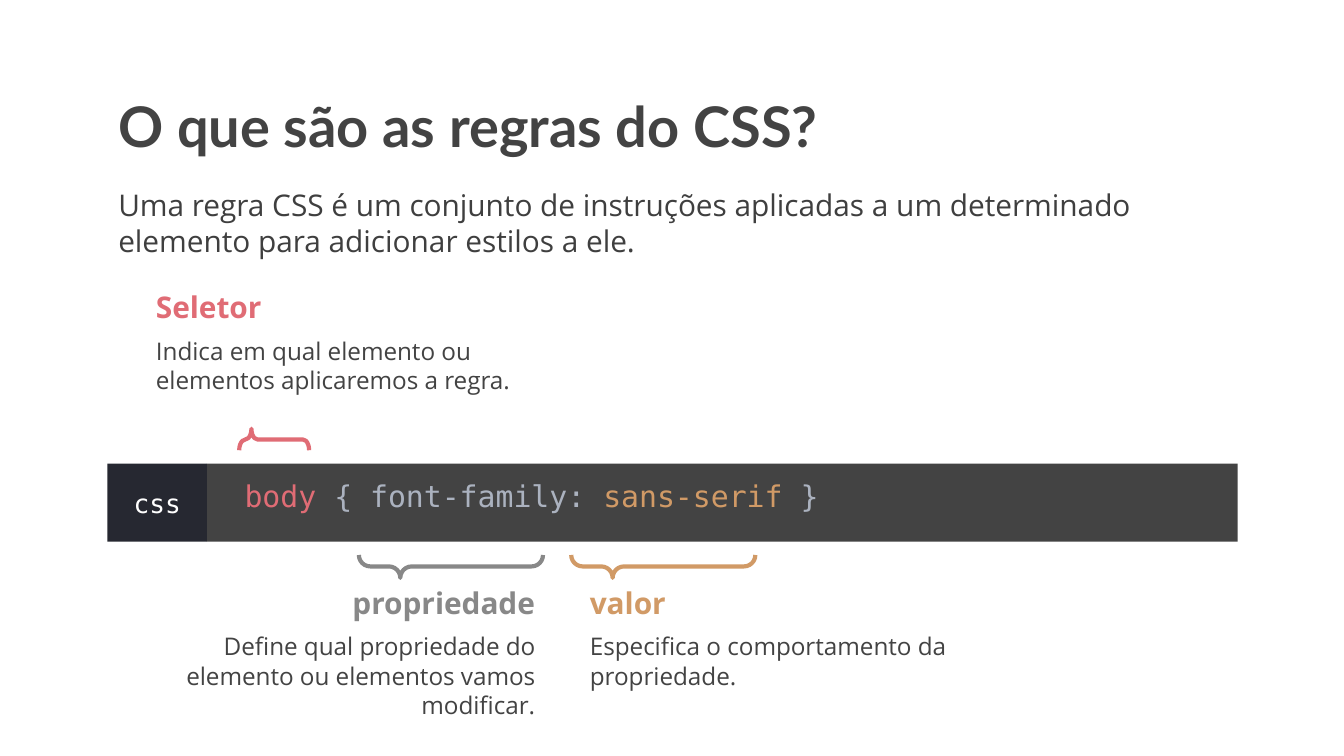
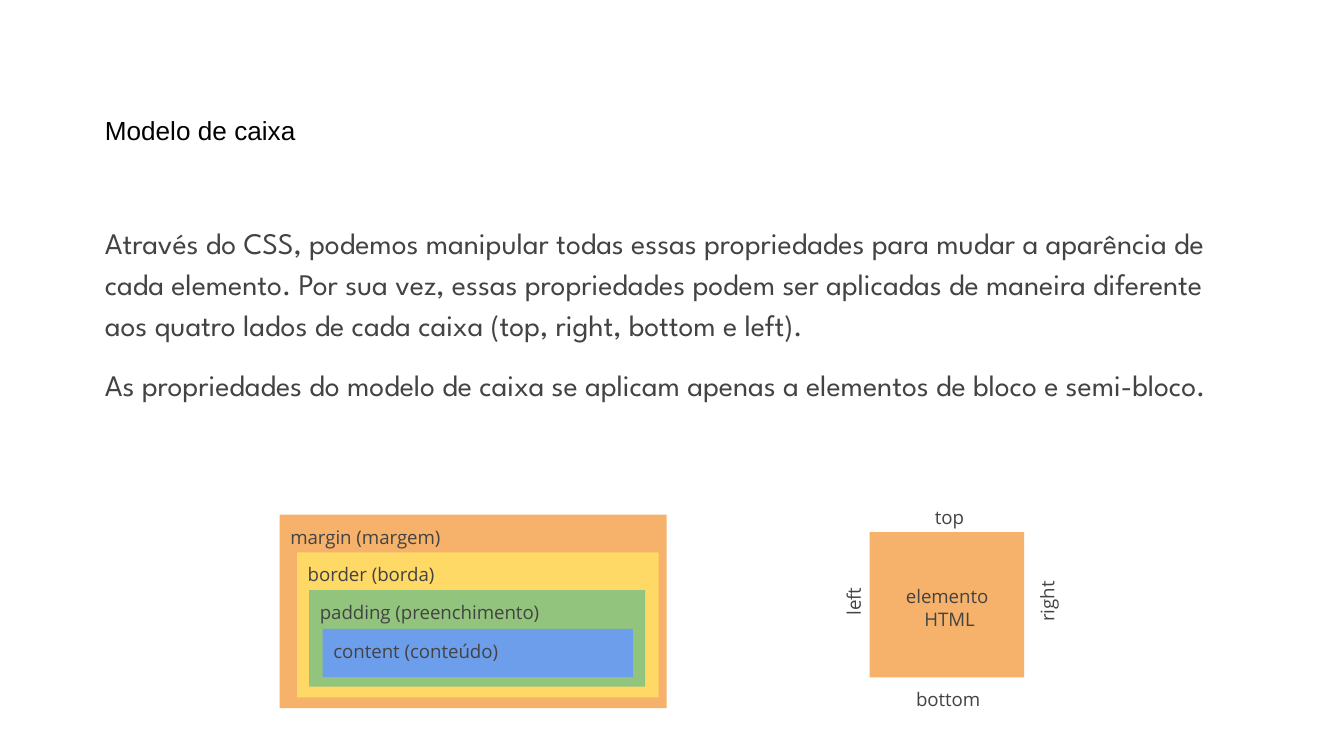
from lxml import etree
from pptx import Presentation
from pptx import util as u
from pptx.dml.color import RGBColor
from pptx.enum import shapes, text
from pptx.oxml.ns import qn

COLORS = {
    "title": "434343", "lead": "3F3F3F", "text": "434343", "black": "000000",
    "white": "FFFFFF", "bar": "434343", "tag": "262831", "selector": "E06C75",
    "property": "888888", "value": "D19A66", "code": "ABB2BF",
    "margin": "F6B26B", "border": "FFD966", "padding": "93C47D", "content": "6D9EEB",
}
SLIDE_WIDTH = u.Inches(10)
SLIDE_HEIGHT = SLIDE_WIDTH * 9 // 16
LEFT, CENTER, RIGHT = text.PP_ALIGN.LEFT, text.PP_ALIGN.CENTER, text.PP_ALIGN.RIGHT
TOP, MIDDLE, BOTTOM = text.MSO_ANCHOR.TOP, text.MSO_ANCHOR.MIDDLE, text.MSO_ANCHOR.BOTTOM
SANS, MONO = "Open Sans", "DejaVu Sans Mono"
EVEN = (0.1, 0.1, 0.1, 0.1)
LABEL_INSETS = (0.08, 0.08, 0.04, 0.04)


def rgb(key):
    """Return the named colour."""
    return RGBColor.from_string(COLORS[key])


def apply(target, values):
    """Set every value of a format dict on the target."""
    for name, value in values.items():
        setattr(target, name, value)


def font(name, size, color, bold=False):
    """Return the font format of a run."""
    return {"name": name, "size": u.Pt(size), "bold": bold, "color": color}


LABEL = font(SANS, 10, "text")


def within(box, left, top, width, height):
    """Return a box offset from the corner of another box."""
    return box[0] + left, box[1] + top, width, height


def place(shape, box):
    """Move and size a shape in inches."""
    apply(shape, dict(zip(("left", "top", "width", "height"), map(u.Inches, box))))


def write(shape, paragraphs, anchor=TOP, insets=EVEN, indent=0, **layout):
    """Write paragraphs, each a list of (words, font) runs, into a shape."""
    frame = shape.text_frame
    sides = ("margin_left", "margin_top", "margin_right", "margin_bottom")
    apply(frame, {"word_wrap": True, "auto_size": text.MSO_AUTO_SIZE.NONE,
                  "vertical_anchor": anchor, **dict(zip(sides, map(u.Inches, insets)))})
    gap = layout.pop("gap", 0)
    for index, runs in enumerate(paragraphs):
        paragraph = frame.add_paragraph() if index else frame.paragraphs[0]
        properties = paragraph._p.get_or_add_pPr()
        properties.set("marL", str(u.Inches(indent)))
        properties.set("indent", "0")
        etree.SubElement(properties, qn("a:buNone"))
        apply(paragraph, {"alignment": LEFT, "space_before": u.Pt(gap if index else 0),
                          **layout})
        for words, style in runs:
            run = paragraph.add_run()
            run.text = words
            apply(run.font, {key: value for key, value in style.items() if key != "color"})
            run.font.color.rgb = rgb(style["color"])


def add_block(parent, box, color):
    """Add a flat filled rectangle."""
    block = parent.add_shape(shapes.MSO_SHAPE.RECTANGLE, *map(u.Inches, box))
    block.shadow.inherit = False
    block.fill.solid()
    block.fill.fore_color.rgb = rgb(color)
    block.line.fill.background()
    return block


def add_brace(slide, box, color, rotation, tip):
    """Add a horizontal brace that fills the box once rotated."""
    left, top, width, height = box
    brace = slide.shapes.add_shape(shapes.MSO_SHAPE.RIGHT_BRACE, 0, 0, 0, 0)
    place(brace, (left + (width - height) / 2, top + (height - width) / 2, height, width))
    brace.rotation = rotation
    brace.adjustments[0], brace.adjustments[1] = 0.5, tip
    brace.shadow.inherit = False
    brace.fill.background()
    brace.line.color.rgb = rgb(color)
    brace.line.width = u.Pt(2.25)


def add_textbox(slide, box, paragraphs, rotation=0, **options):
    """Add a text box with its words."""
    area = slide.shapes.add_textbox(*map(u.Inches, box))
    area.rotation = rotation
    write(area, paragraphs, **options)


def add_heading(slide, title_box, title, title_options, body_box, body, body_options):
    """Fill the title and body placeholders."""
    heading, lead = slide.shapes.title, slide.placeholders[1]
    place(heading, title_box)
    write(heading, [[title]], **title_options)
    place(lead, body_box)
    write(lead, body, gap=10, **body_options)


def add_code_bar(slide, box):
    """Draw the code line with its language tag."""
    tag_width = 0.74
    group = slide.shapes.add_group_shape().shapes
    bar = add_block(group, within(box, tag_width, 0, box[2] - tag_width, box[3]), "bar")
    pieces = [("body ", "selector"), ("{ font-family: ", "code"),
              ("sans-serif", "value"), (" }", "code")]
    write(bar, [[(words, font(MONO, 16, color)) for words, color in pieces]],
          anchor=MIDDLE, insets=(0.08, 0, 0.1, 0.1), indent=0.2)
    tag = add_block(group, within(box, 0, 0, tag_width, box[3]), "tag")
    write(tag, [[("css", font(MONO, 14, "white"))]], anchor=MIDDLE, alignment=CENTER)


def add_term(slide, box, term, meaning, color, **options):
    """Explain one part of the rule."""
    add_textbox(slide, box, [[(term, font(SANS, 16, color, True))],
                             [(meaning, font(SANS, 13, "text"))]], gap=6, **options)


def add_rule_anatomy(slide, box):
    """Draw the code line with the terms and braces around it."""
    add_code_bar(slide, within(box, 0, 1.4, 8.41, 0.58))
    add_term(slide, within(box, 0.22, 0, 3.02, 0.9), "Seletor",
             "Indica em qual elemento ou elementos aplicaremos a regra.", "selector",
             insets=(0.14, 0.1, 0.1, 0.1))
    add_term(slide, within(box, -0.02, 2.2, 3.3, 1.04), "propriedade",
             "Define qual propriedade do elemento ou elementos vamos modificar.",
             "property", alignment=RIGHT)
    add_term(slide, within(box, 3.49, 2.2, 3.21, 1.04), "valor",
             "Especifica o comportamento da propriedade.", "value")
    add_brace(slide, within(box, 0.98, 1.14, 0.52, 0.16), "selector", 270, 0.175)
    for left, color in ((1.87, "property"), (3.45, "value")):
        add_brace(slide, within(box, left, 2.08, 1.37, 0.17), color, 90, 0.775)


def add_box_layers(slide, box):
    """Draw the nested layers of the box model."""
    layers = [("margin", "margem", 0, 0), ("border", "borda", 0.13, 0.28),
              ("padding", "preenchimento", 0.22, 0.56), ("content", "conteúdo", 0.32, 0.85)]
    for depth, (layer, translation, left, top) in enumerate(layers):
        area = within(box, left, top, box[2] - 0.19 * depth, box[3] - 0.36 * depth)
        write(add_block(slide.shapes, area, layer), [[(f"{layer} ({translation})", LABEL)]],
              insets=LABEL_INSETS)


def add_box_sides(slide, box):
    """Draw the element with the names of its four sides."""
    centered = {"anchor": MIDDLE, "insets": LABEL_INSETS, "alignment": CENTER}
    width, height = box[2:]
    write(add_block(slide.shapes, box, "margin"),
          [[("elemento ", LABEL)], [("HTML", LABEL)]], **centered)
    for side, left, top in (("top", 0, -0.27), ("bottom", -0.01, height + 0.01)):
        add_textbox(slide, within(box, left, top, width, 0.27), [[(side, LABEL)]], **centered)
    for side, left in (("left", -0.68), ("right", 0.76)):
        add_textbox(slide, within(box, left, 0.39, height, 0.29), [[(side, LABEL)]],
                    rotation=270, **centered)


def build_rules_slide(slide):
    """Build the slide on CSS rules."""
    lead = ("Uma regra CSS é um conjunto de instruções aplicadas a um determinado "
            "elemento para adicionar estilos a ele.")
    add_heading(slide, (0.78, 0.6, 8.43, 0.69),
                ("O que são as regras do CSS?", font("Lato", 30, "title", True)),
                {"anchor": BOTTOM, "line_spacing": 0.9},
                (0.78, 1.29, 8.43, 0.53), [[(lead, font(SANS, 16, "lead"))]], {})
    add_rule_anatomy(slide, (0.8, 2.05, 8.41, 3.24))


def build_box_model_slide(slide):
    """Build the slide on the box model."""
    points = [
        "Através do CSS, podemos manipular todas essas propriedades para mudar a "
        "aparência de cada elemento. Por sua vez, essas propriedades podem ser aplicadas "
        "de maneira diferente aos quatro lados de cada caixa (top, right, bottom e left).",
        "As propriedades do modelo de caixa se aplicam apenas a elementos de bloco "
        "e semi-bloco.",
    ]
    add_heading(slide, (0.68, 0.65, 8.51, 0.63),
                ("Modelo de caixa", font("Arial", 14, "black")), {"anchor": MIDDLE},
                (0.68, 1.53, 8.44, 1.25),
                [[(point, font("League Spartan", 16, "text"))] for point in points],
                {"line_spacing": 1.15})
    add_box_layers(slide, (2.08, 3.83, 2.88, 1.44))
    add_box_sides(slide, (6.47, 3.96, 1.15, 1.08))


def main():
    """Build and save the presentation."""
    deck = Presentation()
    apply(deck, {"slide_width": SLIDE_WIDTH, "slide_height": SLIDE_HEIGHT})
    for build in (build_rules_slide, build_box_model_slide):
        build(deck.slides.add_slide(deck.slide_layouts[1]))
    deck.save("out.pptx")


if __name__ == "__main__":
    main()
